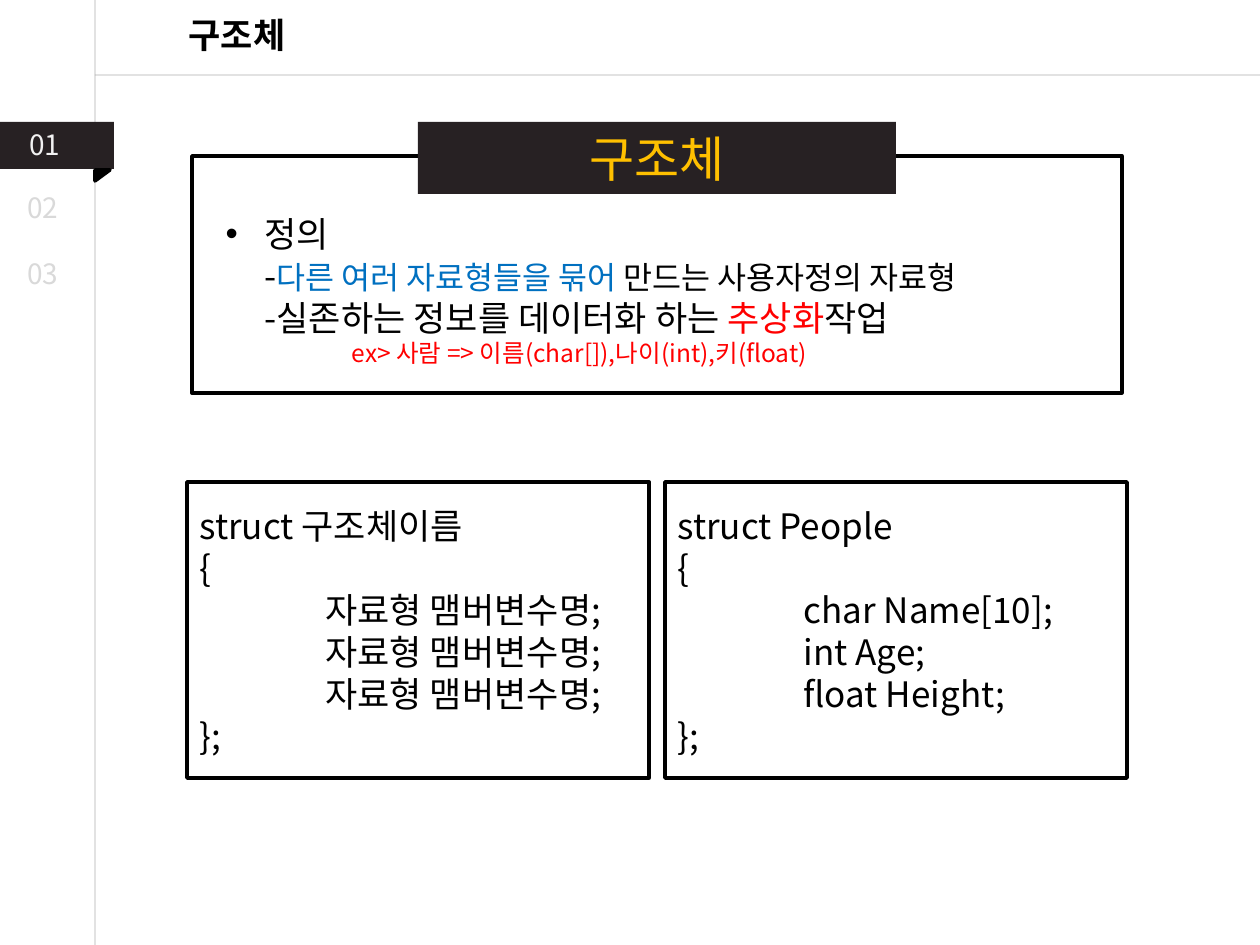
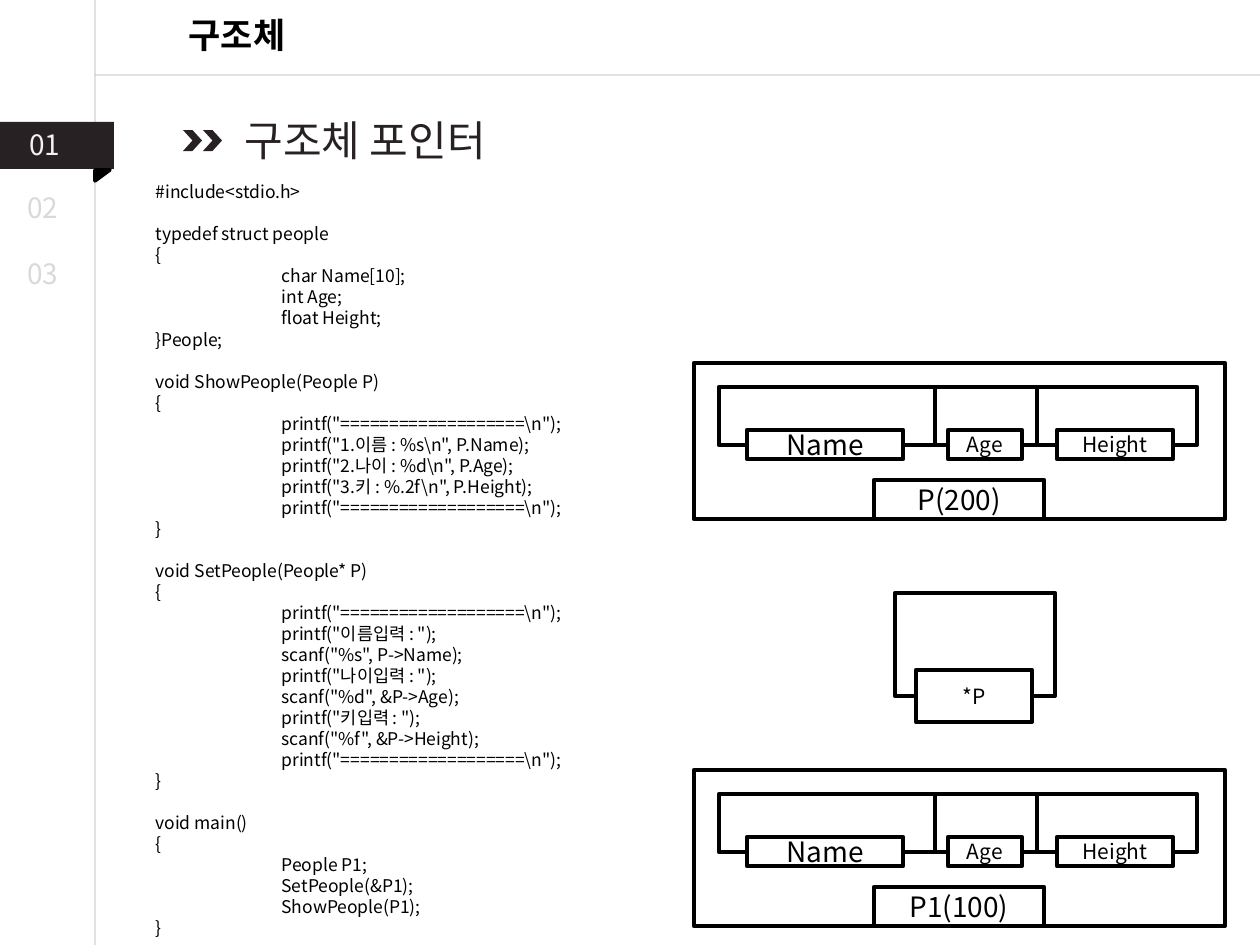
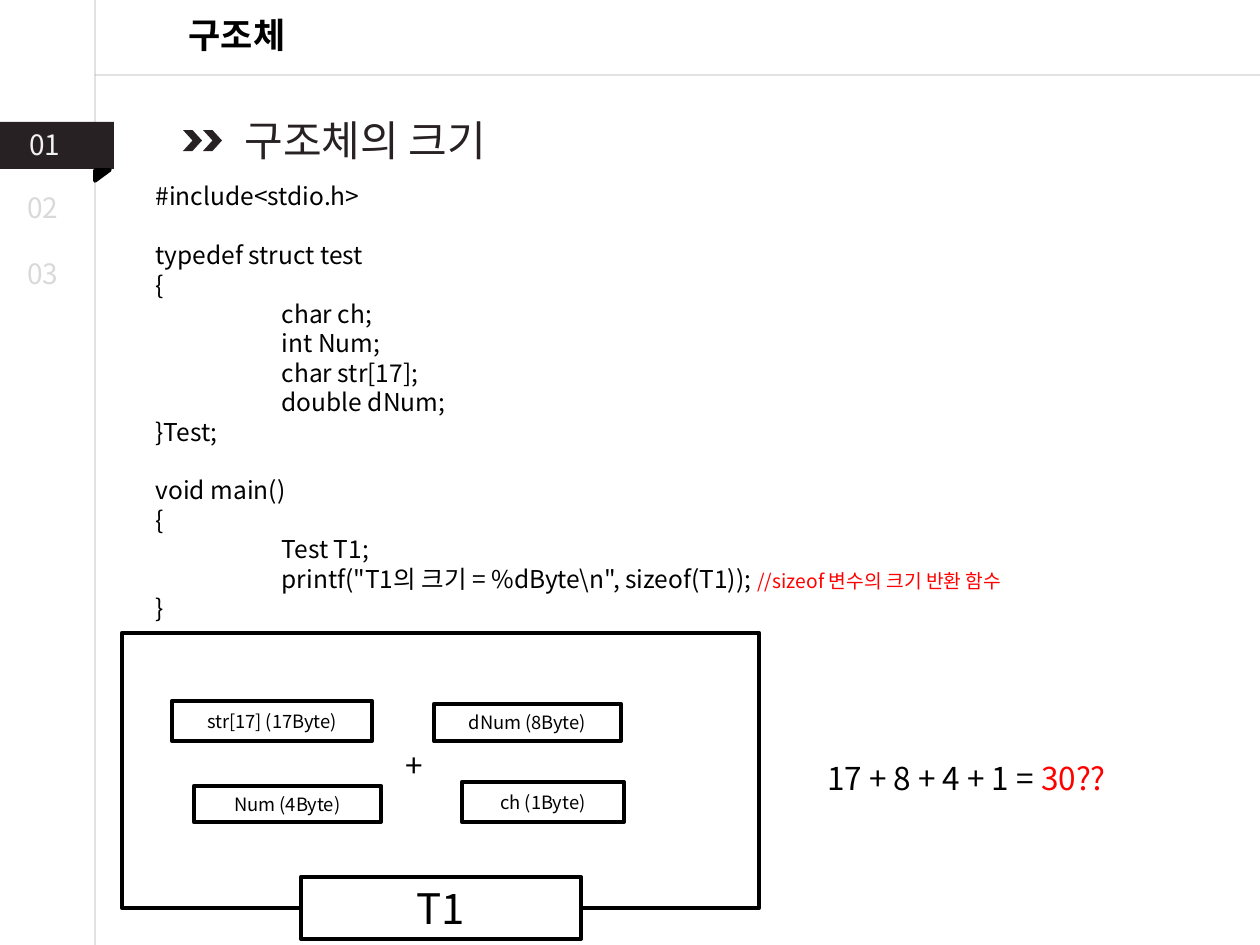
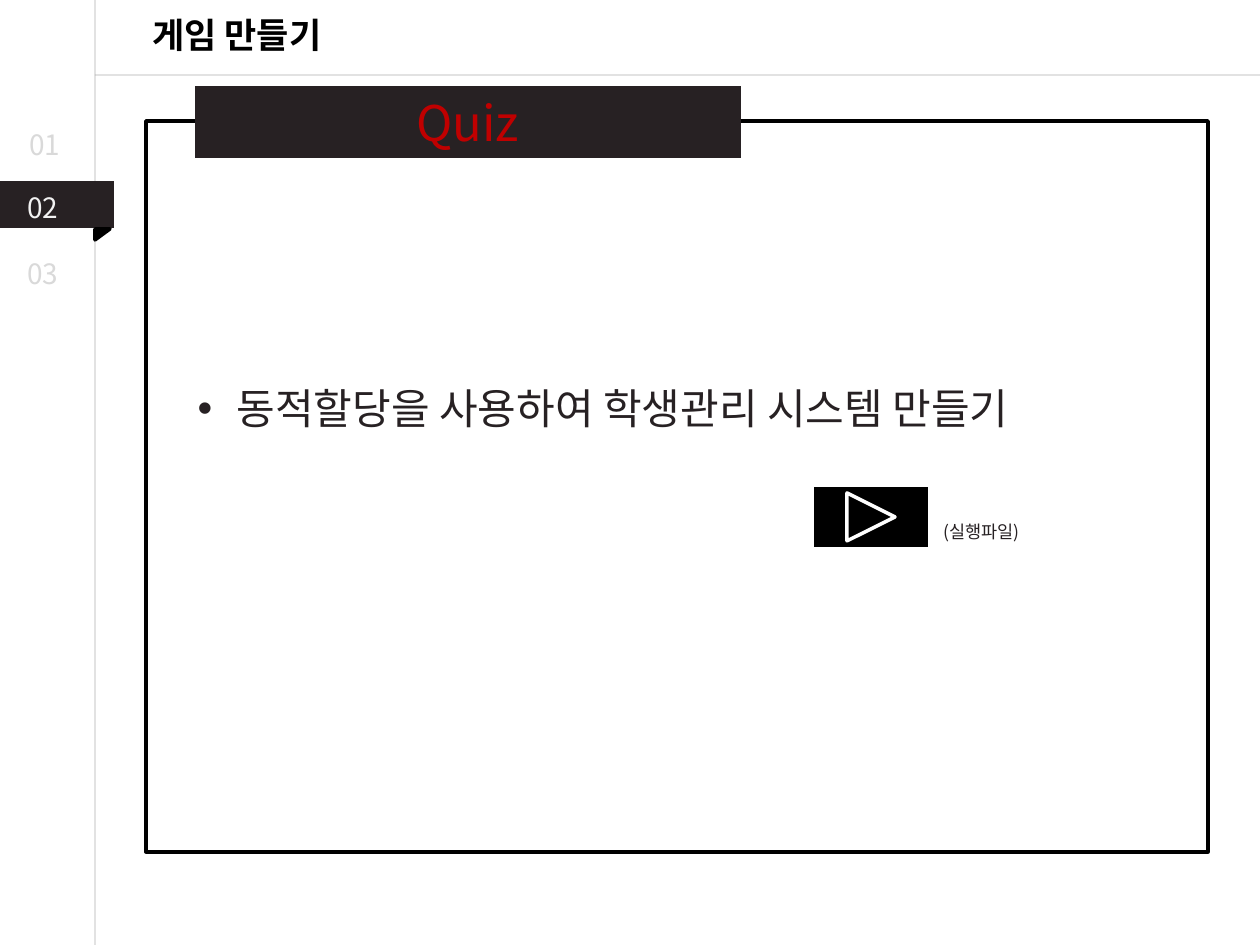
from dataclasses import dataclass

from lxml import etree
from pptx import Presentation
from pptx.dml.color import RGBColor
from pptx.enum import shapes, text
from pptx.oxml.ns import qn
from pptx.util import Emu, Pt


@dataclass(frozen=True)
class Theme:
    font: str = "Noto Sans CJK KR"
    black: str = "000000"
    white: str = "FFFFFF"
    band: str = "272123"
    guide: str = "A6A6A6"
    tab_on: str = "F2F2F2"
    tab_off: str = "D9D9D9"
    gold: str = "FFC000"
    blue: str = "0070C0"
    red: str = "FF0000"
    dark_red: str = "C00000"
    banner: float = 28
    heading: float = 24
    title: float = 20
    body: float = 18
    label: float = 16
    code: float = 14
    small: float = 12
    note: float = 11
    member: float = 10.5
    tiny: float = 10
    frame_line: float = 2
    memory_line: float = 2.5
    line_height: float = 1.2


THEME = Theme()
SCALE = 914400 / 126
PAGE_WIDTH, PAGE_HEIGHT = 1260, 945
TAB_STOP = 126
HANG = 39
RECTANGLE = shapes.MSO_SHAPE.RECTANGLE
LEFT, CENTER = text.PP_ALIGN.LEFT, text.PP_ALIGN.CENTER
TOP, MIDDLE = text.MSO_ANCHOR.TOP, text.MSO_ANCHOR.MIDDLE

STRUCT_FORM = """struct 구조체이름
{
    자료형 맴버변수명;
    자료형 맴버변수명;
    자료형 맴버변수명;
};"""

STRUCT_SAMPLE = """struct People
{
    char Name[10];
    int Age;
    float Height;
};"""

POINTER_CODE = r"""#include<stdio.h>

typedef struct people
{
    char Name[10];
    int Age;
    float Height;
}People;

void ShowPeople(People P)
{
    printf("===================\n");
    printf("1.이름 : %s\n", P.Name);
    printf("2.나이 : %d\n", P.Age);
    printf("3.키 : %.2f\n", P.Height);
    printf("===================\n");
}

void SetPeople(People* P)
{
    printf("===================\n");
    printf("이름입력 : ");
    scanf("%s", P->Name);
    printf("나이입력 : ");
    scanf("%d", &P->Age);
    printf("키입력 : ");
    scanf("%f", &P->Height);
    printf("===================\n");
}

void main()
{
    People P1;
    SetPeople(&P1);
    ShowPeople(P1);
}"""

SIZE_CODE = r"""#include<stdio.h>

typedef struct test
{
    char ch;
    int Num;
    char str[17];
    double dNum;
}Test;

void main()
{
    Test T1;
    printf("T1의 크기 = %dByte\n", sizeof(T1)); //sizeof 변수의 크기 반환 함수
}"""


def px(length):
    return Emu(round(length * SCALE))


def assign(target, values):
    for name, value in values.items():
        setattr(target, name, value)


def place(shape, box):
    assign(shape, dict(zip(("left", "top", "width", "height"), map(px, box))))


def span(words, size, color=THEME.black, bold=False):
    return words, size, color, bold


def line(*spans, indent=0, hang=0, bullet=None, before=0):
    return {"spans": spans, "indent": indent, "hang": hang,
            "bullet": bullet, "before": before}


def add_span(para, words, size, color, bold):
    run = para.add_run()
    run.text = words
    assign(run.font, {"size": Pt(size), "bold": bold, "name": THEME.font})
    run.font.color.rgb = RGBColor.from_string(color)
    etree.SubElement(run.font._element, qn("a:ea"), typeface=THEME.font)


def write(frame, lines, align=LEFT, anchor=TOP):
    assign(frame, {"word_wrap": True, "vertical_anchor": anchor,
                   "auto_size": text.MSO_AUTO_SIZE.NONE})
    for index, item in enumerate(lines):
        para = frame.add_paragraph() if index else frame.paragraphs[0]
        assign(para, {"alignment": align, "space_before": Pt(item["before"]),
                      "space_after": Pt(0), "line_spacing": 1.0})
        properties = para._p.get_or_add_pPr()
        properties.set("marL", str(px(item["indent"])))
        properties.set("indent", str(-px(item["hang"])))
        if item["bullet"]:
            etree.SubElement(properties, qn("a:buFont"), typeface="Arial")
            etree.SubElement(properties, qn("a:buChar"), char=item["bullet"])
        else:
            etree.SubElement(properties, qn("a:buNone"))
        for part in item["spans"]:
            add_span(para, *part)


def add_text(page, box, *spans, align=LEFT):
    shape = page.shapes.add_textbox(*map(px, box))
    write(shape.text_frame, [line(*spans)], align)


def add_shape(page, box, kind=RECTANGLE, fill=None, outline=None, weight=1):
    shape = page.shapes.add_shape(kind, *map(px, box))
    shape.shadow.inherit = False
    if fill:
        shape.fill.solid()
        shape.fill.fore_color.rgb = RGBColor.from_string(fill)
    else:
        shape.fill.background()
    if outline:
        shape.line.color.rgb = RGBColor.from_string(outline)
        shape.line.width = Pt(weight)
    else:
        shape.line.fill.background()
    return shape


def add_frame(page, box, weight=THEME.frame_line):
    return add_shape(page, box, outline=THEME.black, weight=weight)


def add_label(page, box, words, size):
    shape = add_shape(page, box, fill=THEME.white, outline=THEME.black,
                      weight=THEME.memory_line)
    write(shape.text_frame, [line(span(words, size))], CENTER, MIDDLE)


def add_guide(page, *ends):
    guide = page.shapes.add_connector(shapes.MSO_CONNECTOR.STRAIGHT, *map(px, ends))
    guide.line.width = Pt(0.75)
    guide.line.color.rgb = RGBColor.from_string(THEME.guide)
    color = guide.element.find(".//" + qn("a:srgbClr"))
    etree.SubElement(color, qn("a:alpha"), val="50000")
    etree.SubElement(guide.element.spPr, qn("a:effectLst"))


def add_tabs(page, active):
    top = 122 + 59 * active
    add_shape(page, (0, top, 114, 47), fill=THEME.band)
    fold = add_shape(page, (97, top + 46, 11, 15), shapes.MSO_SHAPE.RIGHT_TRIANGLE,
                     THEME.black, THEME.black, THEME.frame_line)
    fold.rotation = 90
    for index, box in enumerate([(17, 121, 74, 47), (15, 184, 62, 47),
                                 (15, 250, 62, 47)]):
        color = THEME.tab_on if index == active else THEME.tab_off
        add_text(page, box, span(f"{index + 1:02}", THEME.label, color))


def add_page(deck, title, active, body_box, body):
    page = deck.slides.add_slide(deck.slide_layouts[1])
    heading, content = page.placeholders
    place(heading, (102, 7, 270, 55))
    write(heading.text_frame, [line(span(title, THEME.title, bold=True))], CENTER)
    place(content, body_box)
    write(content.text_frame, body)
    add_guide(page, 95, 0, 95, PAGE_HEIGHT)
    add_guide(page, 95, 75, PAGE_WIDTH, 75)
    add_tabs(page, active)
    return page


def add_banner(page, band_box, text_box, words, color):
    add_shape(page, band_box, fill=THEME.band)
    add_text(page, text_box, span(words, THEME.banner, color), align=CENTER)


def add_heading(page, words):
    for left in (183, 203):
        add_shape(page, (left, 130, 19, 21), shapes.MSO_SHAPE.CHEVRON, THEME.band)
    add_text(page, (232, 108, 310, 63), span(words, THEME.heading, THEME.band))


def code_lines(source, size):
    lines, before = [], 0
    for row in source.split("\n"):
        if not row:
            before = size * THEME.line_height
            continue
        code, mark, comment = row.strip().partition("//")
        spans = [span(code, size)]
        if mark:
            spans.append(span(mark + comment, THEME.note, THEME.red))
        indent = TAB_STOP if row.startswith(" ") else 0
        lines.append(line(*spans, indent=indent, before=before))
        before = 0
    return lines


def add_code_box(page, box, source):
    shape = add_frame(page, box)
    write(shape.text_frame, code_lines(source, THEME.title), anchor=MIDDLE)


def add_people_memory(page, top, name):
    weight = THEME.memory_line
    members = [("Name", THEME.label, 719, 216, 747, 156),
               ("Age", THEME.small, 935, 102, 948, 74),
               ("Height", THEME.small, 1037, 160, 1057, 116)]
    for words, size, left, width, label_left, label_width in members:
        add_frame(page, (left, top + 24, width, 58), weight)
        add_label(page, (label_left, top + 67, label_width, 29), words, size)
    add_frame(page, (694, top, 531, 156), weight)
    add_label(page, (874, top + 117, 170, 39), name, THEME.label)


def definition_page(deck):
    body = [
        line(span("정의", THEME.title), indent=HANG, hang=HANG, bullet="•"),
        line(span("-", THEME.title),
             span("다른 여러 자료형들을 묶어 ", THEME.body, THEME.blue),
             span("만드는 사용자정의 자료형", THEME.body), indent=HANG),
        line(span("-실존하는 정보를 데이터화 하는 ", THEME.title),
             span("추상화", THEME.title, THEME.red),
             span("작업", THEME.title), indent=HANG),
        line(span("ex> 사람 => 이름(char[]),나이(int),키(float)",
                  THEME.code, THEME.red), indent=TAB_STOP),
    ]
    page = add_page(deck, "구조체", 0, (213, 206, 883, 170), body)
    add_frame(page, (192, 156, 930, 237))
    add_banner(page, (418, 122, 478, 72), (375, 122, 563, 72), "구조체", THEME.gold)
    add_code_box(page, (187, 482, 462, 296), STRUCT_FORM)
    add_code_box(page, (665, 482, 462, 296), STRUCT_SAMPLE)


def pointer_page(deck):
    page = add_page(deck, "구조체", 0, (143, 175, 1062, 770),
                    code_lines(POINTER_CODE, THEME.tiny))
    add_heading(page, "구조체 포인터")
    add_people_memory(page, 770, "P1(100)")
    add_frame(page, (895, 593, 160, 103), THEME.memory_line)
    add_label(page, (916, 670, 116, 52), "*P", THEME.small)
    add_people_memory(page, 363, "P(200)")


def size_page(deck):
    page = add_page(deck, "구조체", 0, (143, 175, 1062, 459),
                    code_lines(SIZE_CODE, THEME.code))
    add_heading(page, "구조체의 크기")
    add_frame(page, (122, 633, 637, 275), THEME.memory_line)
    add_label(page, (301, 877, 280, 62), "T1", THEME.heading)
    for words, box in [("str[17] (17Byte)", (172, 701, 200, 40)),
                       ("dNum (8Byte)", (434, 704, 187, 37)),
                       ("Num (4Byte)", (194, 786, 187, 36)),
                       ("ch (1Byte)", (462, 782, 162, 40))]:
        add_label(page, box, words, THEME.member)
    add_text(page, (393, 740, 48, 50), span("+", THEME.body))
    add_text(page, (815, 753, 389, 50), span("17 + 8 + 4 + 1 = ", THEME.body),
             span("30??", THEME.body, THEME.red))


def quiz_page(deck):
    task = span("동적할당을 사용하여 학생관리 시스템 만들기", THEME.heading, THEME.band)
    page = add_page(deck, "게임 만들기", 1, (185, 376, 1009, 63),
                    [line(task, indent=HANG, hang=HANG, bullet="•")])
    add_frame(page, (146, 121, 1062, 731))
    add_banner(page, (195, 86, 546, 72), (146, 86, 643, 72), "Quiz", THEME.dark_red)
    add_shape(page, (812, 485, 118, 64),
              shapes.MSO_SHAPE.ACTION_BUTTON_FORWARD_OR_NEXT,
              THEME.black, THEME.white, THEME.frame_line)
    add_text(page, (931, 515, 108, 50), span("(실행파일)", THEME.tiny, THEME.band))


def main():
    deck = Presentation()
    assign(deck, {"slide_width": px(PAGE_WIDTH), "slide_height": px(PAGE_HEIGHT)})
    definition_page(deck)
    pointer_page(deck)
    size_page(deck)
    quiz_page(deck)
    deck.save("out.pptx")


main()
